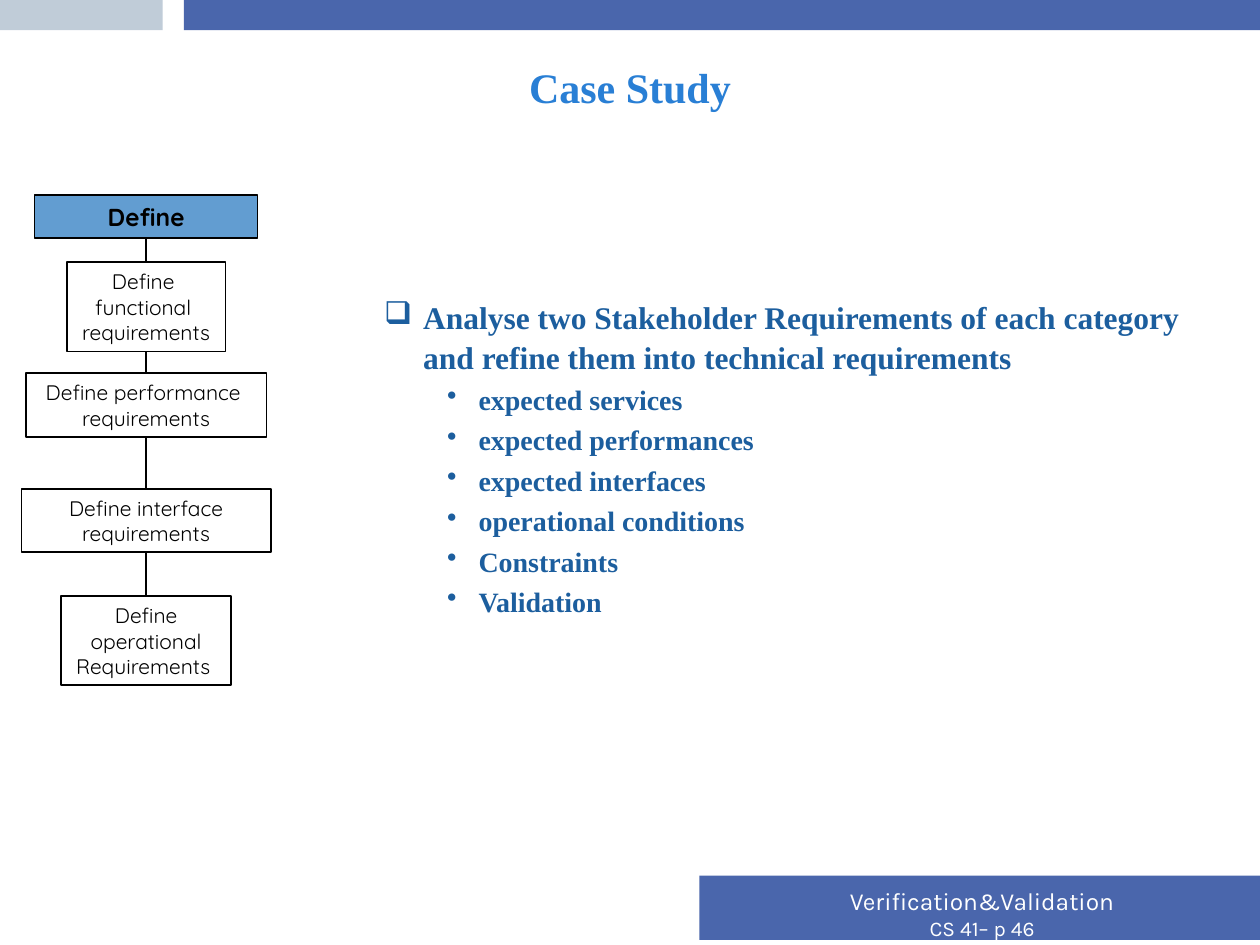
from dataclasses import dataclass
from itertools import pairwise
from typing import Any, Optional

from lxml import etree
from pptx import Presentation
from pptx import util as u
from pptx.dml import color
from pptx.enum import shapes, text
from pptx.oxml import ns


@dataclass(frozen=True)
class Theme:
    band: str = "4A66AC"
    band_accent: str = "C0CCD8"
    title: str = "297FD5"
    body: str = "1C5E9E"
    stage: str = "629DD1"
    ink: str = "000000"
    paper: str = "FFFFFF"
    serif: str = "Times New Roman"
    flow_face: str = "Quicksand"
    footer_face: str = "Karla"
    title_size: int = 24
    task_size: int = 18
    item_size: int = 16
    heading_size: int = 14
    label_size: int = 12


@dataclass(frozen=True)
class Area:
    col: float
    row: float
    cols: float
    rows: float


@dataclass(frozen=True)
class Step:
    lines: tuple[str, ...]
    row: float
    cols: float
    rows: float
    heading: bool = False


@dataclass(frozen=True)
class Style:
    face: str
    size: int
    ink: str
    bold: bool = False
    align: Any = text.PP_ALIGN.CENTER


@dataclass(frozen=True)
class Bullet:
    mark: str
    margin: float
    hang: float


THEME = Theme()
COLUMNS, ROWS = 100, 75
CELL = u.Inches(0.1)
FLOW_AXIS = 11.6
BANDS = (
    (Area(14.6, 0, 85.4, 2.4), THEME.band),
    (Area(0, 0, 12.9, 2.4), THEME.band_accent),
    (Area(55.5, 69.5, 44.5, 5.1), THEME.band),
)
STEPS = (
    Step(("Define",), 15.5, 17.7, 3.4, heading=True),
    Step(("Define ", "functional ", "requirements"), 20.8, 12.6, 7.1),
    Step(("Define performance ", "requirements"), 29.6, 19.1, 5.1),
    Step(("Define interface requirements",), 38.8, 19.8, 5),
    Step(("Define", "operational Requirements "), 47.3, 13.5, 7.1),
)
TASK = "Analyse two Stakeholder Requirements of each category and refine them into technical requirements"
ASPECTS = (
    "expected services",
    "expected performances",
    "expected interfaces",
    "operational conditions",
    "Constraints",
    "Validation",
)


def grid(units: float) -> int:
    return round(units * CELL)


def place(area: Area) -> tuple[int, int, int, int]:
    return grid(area.col), grid(area.row), grid(area.cols), grid(area.rows)


def rgb(code: str) -> color.RGBColor:
    return color.RGBColor.from_string(code)


def add_bullet(paragraph: Any, bullet: Bullet) -> None:
    properties = paragraph._p.get_or_add_pPr()
    properties.set("marL", str(u.Inches(bullet.margin)))
    properties.set("indent", str(-u.Inches(bullet.hang)))
    etree.SubElement(properties, ns.qn("a:buChar")).set("char", bullet.mark)


def write(frame: Any, line: str, style: Style, bullet: Optional[Bullet] = None) -> Any:
    paragraph = frame.add_paragraph() if frame.text else frame.paragraphs[0]
    paragraph.text = line
    paragraph.alignment = style.align
    if bullet:
        add_bullet(paragraph, bullet)
    paragraph.font.name = style.face
    paragraph.font.size = u.Pt(style.size)
    paragraph.font.bold = style.bold
    paragraph.font.color.rgb = rgb(style.ink)
    return paragraph


def add_block(slide: Any, area: Area, fill: str, outline: Optional[str] = None) -> Any:
    block = slide.shapes.add_shape(shapes.MSO_SHAPE.RECTANGLE, *place(area))
    block.shadow.inherit = False
    block.fill.solid()
    block.fill.fore_color.rgb = rgb(fill)
    if outline:
        block.line.color.rgb = rgb(outline)
        block.line.width = u.Pt(1)
    else:
        block.line.fill.background()
    return block


def add_frame(slide: Any, area: Area) -> Any:
    frame = slide.shapes.add_textbox(*place(area)).text_frame
    frame.word_wrap = True
    return frame


def add_step(slide: Any, step: Step) -> None:
    area = Area(FLOW_AXIS - step.cols / 2, step.row, step.cols, step.rows)
    fill = THEME.stage if step.heading else THEME.paper
    size = THEME.heading_size if step.heading else THEME.label_size
    frame = add_block(slide, area, fill, THEME.ink).text_frame
    frame.word_wrap = True
    frame.vertical_anchor = text.MSO_ANCHOR.MIDDLE
    for line in step.lines:
        write(frame, line, Style(THEME.flow_face, size, THEME.ink, step.heading))


def add_link(slide: Any, upper: Step, lower: Step) -> None:
    axis = grid(FLOW_AXIS)
    link = slide.shapes.add_connector(
        shapes.MSO_CONNECTOR.STRAIGHT, axis, grid(upper.row + upper.rows), axis, grid(lower.row)
    )
    link.line.color.rgb = rgb(THEME.ink)
    link.line.width = u.Pt(1)
    etree.SubElement(link._element.spPr, ns.qn("a:effectLst"))


def add_task(slide: Any) -> None:
    frame = add_frame(slide, Area(24.5, 23, 70.2, 26))
    left = text.PP_ALIGN.LEFT
    task_style = Style(THEME.serif, THEME.task_size, THEME.body, True, left)
    item_style = Style(THEME.serif, THEME.item_size, THEME.body, True, left)
    write(frame, TASK, task_style, Bullet("❑", 0.81, 0.31)).line_spacing = 1.05
    for aspect in ASPECTS:
        item = write(frame, aspect, item_style, Bullet("•", 1.25, 0.25))
        item.line_spacing = 1.05
        item.space_before = u.Pt(3)


def main() -> None:
    """Build the case study slide and save it."""
    deck = Presentation()
    deck.slide_width, deck.slide_height = grid(COLUMNS), grid(ROWS)
    slide = deck.slides.add_slide(deck.slide_layouts[6])
    for area, fill in BANDS:
        add_block(slide, area, fill)
    footer = add_frame(slide, Area(55.5, 69.8, 44.9, 5.4))
    write(footer, "Verification&Validation", Style(THEME.footer_face, THEME.heading_size, THEME.paper))
    write(footer, "CS 41– p 46", Style(THEME.footer_face, THEME.label_size, THEME.paper))
    title = add_frame(slide, Area(5, 3, 90, 7.7))
    title.vertical_anchor = text.MSO_ANCHOR.MIDDLE
    write(title, "Case Study", Style(THEME.serif, THEME.title_size, THEME.title, True))
    add_task(slide)
    for step in STEPS:
        add_step(slide, step)
    for upper, lower in pairwise(STEPS):
        add_link(slide, upper, lower)
    deck.save("out.pptx")


if __name__ == "__main__":
    main()
